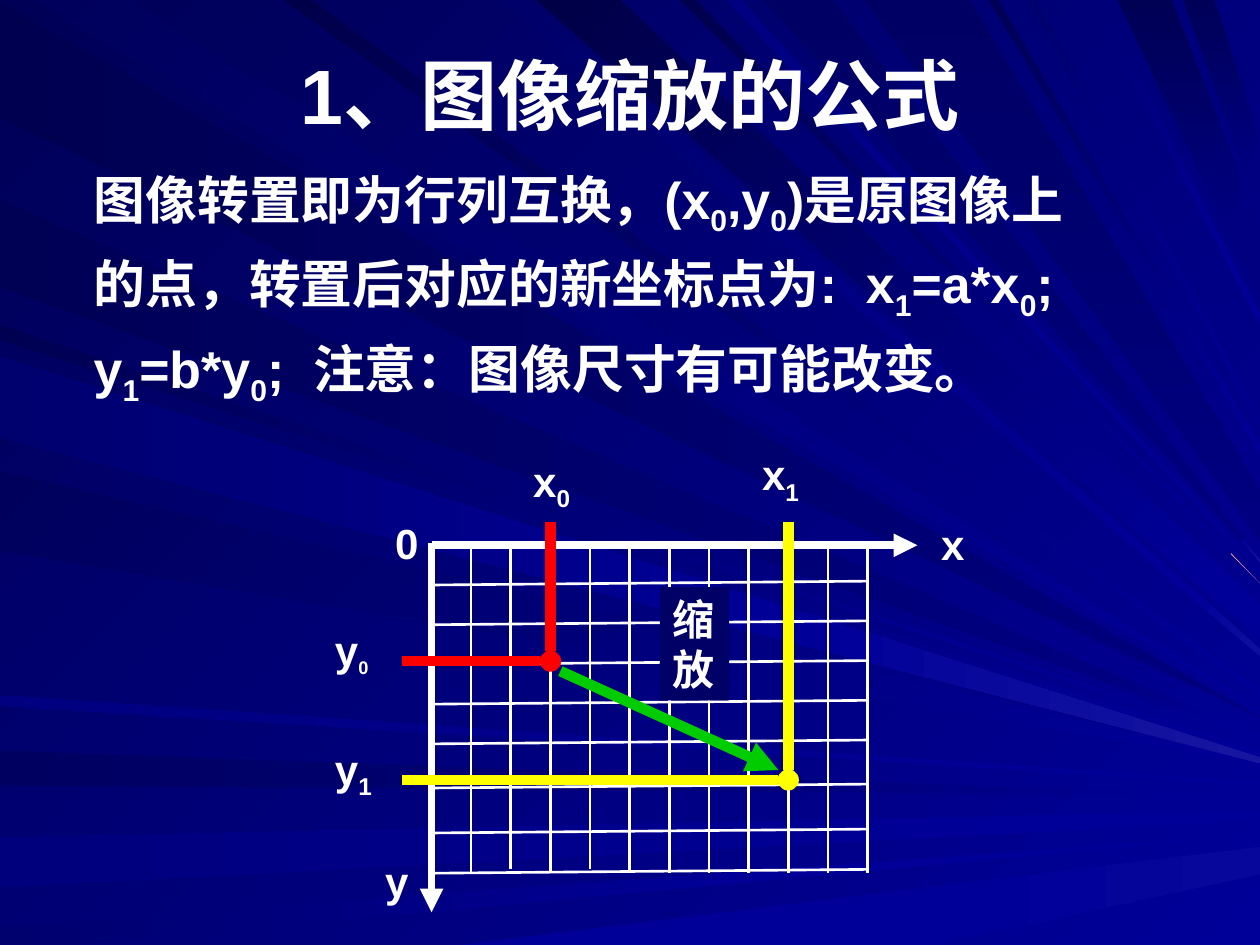
import dataclasses
import itertools

import lxml.etree
import pptx
import pptx.dml.color
import pptx.enum.shapes
import pptx.enum.text
import pptx.oxml.ns
import pptx.util

Pt = pptx.util.Pt
SHAPES = pptx.enum.shapes.MSO_SHAPE
ALIGN = pptx.enum.text.PP_ALIGN
ANCHOR = pptx.enum.text.MSO_ANCHOR

WHITE, RED, YELLOW, GREEN, NAVY = "FFFFFF", "FF0000", "FFFF00", "00CC00", "000066"
BRIGHT, MEDIUM = "000099", "000080"

BEAM_UNIT = Pt(0.72)
BEAM_WIDTH, BEAM_HEIGHT = 1000, 750
LEFTWARD, UP_LEFT, DOWNWARD = 180, 225, 90

GRID_LEFT, GRID_TOP = 246.6, 311.6
COLUMN_WIDTH, COLUMN_COUNT = 22.65, 11
ROW_HEIGHTS = [22.7] * 5 + [25.2, 25.7, 23]
GRID_HEIGHT, ROW_TILT = 187.2, 2.2
RAISED_COLUMNS = (2, 4)
DOT_DIAMETER = 11.4
LABEL_SIZE, THICK, AXIS, THIN = 24, 6, 4.5, 1.5


@dataclasses.dataclass
class Beam:
    """Two straight edges from one slide side to the right side."""
    side: str
    start: tuple
    end: tuple
    colours: tuple
    angle: int = LEFTWARD
    joint: tuple = None
    tail: tuple = (BRIGHT,)

    def origin(self, offset):
        return {"left": (0, offset), "top": (offset, 0),
                "bottom": (offset, BEAM_HEIGHT)}[self.side]

    def edge_points(self, edge):
        x, y = self.origin(self.start[edge])
        end_x, end_y = BEAM_WIDTH, self.end[edge]
        if not self.joint:
            return [(x, y), (end_x, end_y)]
        joint_x = self.joint[edge]
        joint_y = y + (end_y - y) * (joint_x - x) / (end_x - x)
        return [(x, y), (joint_x, joint_y), (end_x, end_y)]

    def pieces(self):
        first, second = self.edge_points(0), self.edge_points(1)
        for index, colours in zip(range(len(first) - 1), (self.colours, self.tail)):
            yield colours, first[index:index + 2] + second[index:index + 2][::-1]


BEAMS = [
    Beam("left", (2, 93), (569, 570), (MEDIUM, "000051")),
    Beam("top", (26, 101), (563, 562), (BRIGHT, "00005C"), UP_LEFT),
    Beam("left", (596, 623), (631, 632), (MEDIUM, "000060"),
         joint=(701, 701), tail=(BRIGHT, MEDIUM)),
    Beam("left", (665, 704), (643, 651), (BRIGHT, "00007C"), joint=(831, 831)),
    Beam("left", (735, 755), (662, 662), (BRIGHT, "00006E"), joint=(628, 628)),
    Beam("bottom", (364, 742), (672, 694), (BRIGHT,),
         joint=(756, 801), tail=("07079B", BRIGHT)),
    Beam("left", (258, 270), (589, 589), (BRIGHT, "000053"), UP_LEFT, (873, 873)),
    Beam("left", (159, 228), (584, 585), (MEDIUM, "000055"),
         joint=(873, 873), tail=(BRIGHT, MEDIUM)),
    Beam("top", (398, 416), (521, 515), (BRIGHT, "00006A"), UP_LEFT,
         (944, 947), ("0E0E9E", BRIGHT)),
    Beam("top", (426, 492), (507, 479), (BRIGHT, "000046"), UP_LEFT, (951, 968)),
    Beam("top", (540, 552), (463, 463), (BRIGHT, "00004E"), UP_LEFT,
         (977, 977), ("FF9999",)),
    Beam("top", (606, 661), (446, 445), ("000064", MEDIUM), DOWNWARD,
         (985, 987), (BRIGHT, "1616A1")),
    Beam("top", (887, 930), (237, 183), ("000055", MEDIUM), DOWNWARD,
         (973, 986), (MEDIUM,)),
    Beam("top", (939, 964), (167, 114), ("000059", MEDIUM), DOWNWARD,
         (989, 999), (MEDIUM,)),
    Beam("left", (278, 342), (596, 602), (BRIGHT, "000060"), UP_LEFT),
    Beam("left", (374, 437), (605, 606), (BRIGHT, "00005C"), UP_LEFT),
    Beam("left", (552, 560), (621, 623), (BRIGHT, "000081")),
    Beam("top", (225, 247), (552, 547), (BRIGHT, "00004A"), UP_LEFT),
    Beam("top", (577, 588), (454, 453), (BRIGHT, "000081"), UP_LEFT),
    Beam("top", (686, 770), (428, 390), ("000064", MEDIUM), DOWNWARD),
    Beam("top", (785, 792), (360, 354), (BRIGHT, "000057"), UP_LEFT),
    Beam("top", (815, 824), (336, 335), (BRIGHT, "00006E"), UP_LEFT),
    Beam("top", (865, 872), (258, 249), (BRIGHT, "000078"), UP_LEFT),
    Beam("left", (283, 347), (601, 606), (BRIGHT, "00006E"),
         joint=(637, 633), tail=("1616A1", BRIGHT)),
]


def rgb(value):
    return pptx.dml.color.RGBColor.from_string(value)


def set_fill(fill, colours, angle=0):
    if len(colours) == 1:
        fill.solid()
        fill.fore_color.rgb = rgb(colours[0])
        return
    fill.gradient()
    fill.gradient_angle = 360 - angle
    for stop, colour in zip(fill.gradient_stops, colours):
        stop.color.rgb = rgb(colour)


def add_beam(slide, beam):
    for colours, points in beam.pieces():
        builder = slide.shapes.build_freeform(*points[0], scale=BEAM_UNIT)
        builder.add_line_segments(points[1:], close=True)
        shape = builder.convert_to_shape()
        shape.shadow.inherit = False
        set_fill(shape.fill, colours, beam.angle)
        shape.line.fill.background()


def add_line(slide, start, end, colour, width, arrow=False):
    connector = slide.shapes.add_connector(
        pptx.enum.shapes.MSO_CONNECTOR.STRAIGHT, *map(Pt, start + end))
    connector.line.color.rgb = rgb(colour)
    connector.line.width = Pt(width)
    properties = connector._element.spPr
    if arrow:
        line = properties.find(pptx.oxml.ns.qn("a:ln"))
        tail = lxml.etree.SubElement(line, pptx.oxml.ns.qn("a:tailEnd"))
        tail.set("type", "triangle")
    lxml.etree.SubElement(properties, pptx.oxml.ns.qn("a:effectLst"))


def add_dot(slide, centre, colour):
    left, top = (value - DOT_DIAMETER / 2 for value in centre)
    shape = slide.shapes.add_shape(
        SHAPES.OVAL, *map(Pt, (left, top, DOT_DIAMETER, DOT_DIAMETER)))
    shape.shadow.inherit = False
    set_fill(shape.fill, (colour,))
    shape.line.color.rgb = rgb(colour)
    shape.line.width = Pt(0.75)


def add_run(paragraph, text, size, subscript=False):
    run = paragraph.add_run()
    run.text = text
    for name, value in {"name": "Arial", "size": Pt(size), "bold": True}.items():
        setattr(run.font, name, value)
    run.font.color.rgb = rgb(WHITE)
    if subscript:
        run._r.get_or_add_rPr().set("baseline", "-25000")


def add_text(slide, box, lines, size=LABEL_SIZE, subscript_size=None, fill=None,
             anchor=ANCHOR.TOP, hanging=0, **formats):
    shape = slide.shapes.add_textbox(*map(Pt, box))
    if fill:
        set_fill(shape.fill, (fill,))
    frame = shape.text_frame
    frame.word_wrap = True
    frame.vertical_anchor = anchor
    for index, line in enumerate(lines):
        paragraph = frame.add_paragraph() if index else frame.paragraphs[0]
        for name, value in formats.items():
            if index or name != "space_before":
                setattr(paragraph, name, value)
        if hanging:
            properties = paragraph._p.get_or_add_pPr()
            properties.set("marL", str(Pt(hanging)))
            properties.set("indent", str(-Pt(hanging)))
        plain, *marked = line.split("_")
        if plain:
            add_run(paragraph, plain, size)
        for part in marked:
            add_run(paragraph, part[0], subscript_size or size, subscript=True)
            if part[1:]:
                add_run(paragraph, part[1:], size)


def column_x(number):
    return GRID_LEFT + number * COLUMN_WIDTH


def add_axes(slide):
    add_line(slide, (GRID_LEFT, 310.4), (GRID_LEFT, 521.3), WHITE, AXIS, arrow=True)
    add_line(slide, (GRID_LEFT, GRID_TOP), (524.2, GRID_TOP), WHITE, AXIS, arrow=True)
    for text, left, top, width in [("0", 212.4, 291.9, 33.8),
                                   ("y", 212.4, 485.6, 28.1),
                                   ("x", 524.4, 292.6, 33.8)]:
        add_text(slide, (left, top, width, 36), [text], alignment=ALIGN.RIGHT)


def add_grid(slide):
    right = column_x(COLUMN_COUNT)
    for offset in itertools.accumulate(ROW_HEIGHTS):
        y = GRID_TOP + offset
        add_line(slide, (GRID_LEFT, y), (right, y - ROW_TILT), WHITE, THIN)
    for number in range(1, COLUMN_COUNT + 1):
        x = column_x(number)
        top = GRID_TOP - (ROW_TILT if number in RAISED_COLUMNS else 0)
        add_line(slide, (x, top), (x, top + GRID_HEIGHT), WHITE, THIN)


def add_mapping(slide):
    radius = DOT_DIAMETER / 2
    source, target = (column_x(3), 377.8), (column_x(9), 445.7)
    for (x, y), colour in [(target, YELLOW), (source, RED)]:
        add_dot(slide, (x, y), colour)
        add_line(slide, (x, 298.1), (x, y - radius), colour, THICK)
        add_line(slide, (229.7, y), (x - radius, y), colour, THICK)
    add_line(slide, tuple(value + radius for value in source),
             tuple(value - radius for value in target), GREEN, THICK, arrow=True)
    for text, left, top, subscript_size in [("x_0", 297.6, 256.6, 24),
                                            ("y_0", 184.3, 353.1, 18),
                                            ("x_1", 428.4, 253, 24),
                                            ("y_1", 184.3, 421.2, 24)]:
        add_text(slide, (left, top, 51.1, 40.3), [text], subscript_size=subscript_size)
    add_text(slide, (377, 335.5, 39.6, 64.8), ["缩放"], fill=NAVY)


def main():
    presentation = pptx.Presentation()
    presentation.slide_width, presentation.slide_height = Pt(720), Pt(540)
    slide = presentation.slides.add_slide(presentation.slide_layouts[6])
    set_fill(slide.background.fill, (BRIGHT, "000057"), UP_LEFT)
    for beam in BEAMS:
        add_beam(slide, beam)
    add_text(slide, (36, 3.2, 648, 90), ["1、图像缩放的公式"], size=44,
             anchor=ANCHOR.MIDDLE, alignment=ALIGN.CENTER, line_spacing=1.2)
    add_axes(slide)
    add_grid(slide)
    add_mapping(slide)
    add_text(slide, (46.5, 92, 648, 149.8),
             ["图像转置即为行列互换，(x_0,y_0)是原图像上",
              "的点，转置后对应的新坐标点为:  x_1=a*x_0;",
              "y_1=b*y_0;  注意：图像尺寸有可能改变。"],
             size=29.6, hanging=27, line_spacing=1.0, space_before=Pt(8))
    presentation.save("out.pptx")


if __name__ == "__main__":
    main()
